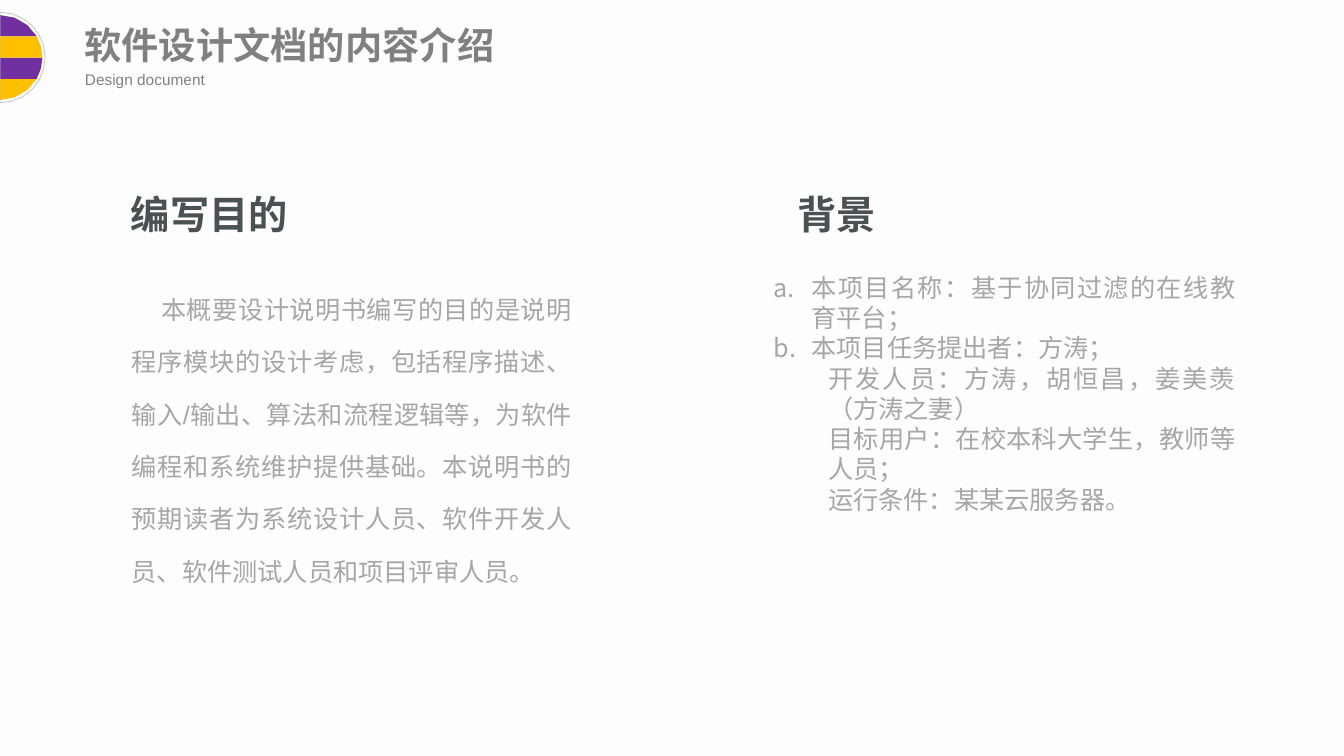
import math
from pptx import Presentation, util as u
from pptx.dml import color
from pptx.enum import text
from pptx.oxml import xmlchemy as x

GREY, DARK, PALE = "808080", "4B5050", "A6A6A6"
LEFT, JUST = text.PP_ALIGN.LEFT, text.PP_ALIGN.JUSTIFY
TOP, MID = text.MSO_ANCHOR.TOP, text.MSO_ANCHOR.MIDDLE


def rgb(code):
    return color.RGBColor.from_string(code)


def write(box, area, lines, size, code, bold=False, align=JUST, anchor=TOP,
          inset=(0.25, 0.13), space=1, gap=0):
    box.left, box.top, box.width, box.height = [u.Cm(n) for n in area]
    frame = box.text_frame
    frame.word_wrap = True
    frame.auto_size = text.MSO_AUTO_SIZE.NONE
    frame.vertical_anchor = anchor
    frame.margin_left = frame.margin_right = u.Cm(inset[0])
    frame.margin_top = frame.margin_bottom = u.Cm(inset[1])
    for i, (line, margin, indent, mark) in enumerate(lines):
        para = frame.paragraphs[0] if i == 0 else frame.add_paragraph()
        para.alignment = align
        para.line_spacing = space
        para.space_before = para.space_after = u.Pt(gap)
        props = para._p.get_or_add_pPr()
        props.set("marL", str(u.Cm(margin)))
        props.set("indent", str(u.Cm(indent)))
        bullet = x.OxmlElement("a:buAutoNum" if mark else "a:buNone")
        if mark:
            bullet.set("type", mark)
        props.append(bullet)
        run = para.add_run()
        run.text = line
        run.font.size = u.Pt(size)
        run.font.name = "Arial"
        run.font.bold = bold
        run.font.color.rgb = rgb(code)


deck = Presentation()
deck.slide_width, deck.slide_height = u.Cm(33.87), u.Cm(19.05)
slide = deck.slides.add_slide(deck.slide_layouts[4])
slide.background.fill.solid()
slide.background.fill.fore_color.rgb = rgb("FDFDFD")
title, head1, body1, head2, body2 = slide.placeholders

write(title, (2.13, 0.56, 11.58, 1.14), [("软件设计文档的内容介绍", 0, 0, None)],
      26.6, GREY, True, LEFT, MID, (0, 0))
label = slide.shapes.add_textbox(0, 0, 0, 0)
write(label, (2.14, 1.75, 6.1, 0.48), [("Design document", 0, 0, None)],
      11, GREY, False, LEFT, MID, (0, 0))

mid, rad = 1.45, 1.07
bands = [(rad, 30, 90, 20, "FFC000"), (rad, 0, 30, 15, "7030A0"),
         (rad, -90, -30, 20, "7030A0"), (rad, -30, 0, 15, "FFC000"),
         (1.14, -90, 90, 15, None)]
for size, low, high, step, code in bands:
    arc = []
    for deg in range(low, high + 1, step):
        turn = math.radians(deg)
        arc.append((u.Cm(size * math.cos(turn)), u.Cm(mid + size * math.sin(turn))))
    ends = [(0, arc[-1][1])] if high < 90 else []
    first = (0, arc[0][1]) if low > -90 else arc.pop(0)
    pen = slide.shapes.build_freeform(*first)
    pen.add_line_segments(arc + ends)
    band = pen.convert_to_shape()
    band.shadow.inherit = False
    if code:
        band.fill.solid()
        band.fill.fore_color.rgb = rgb(code)
        band.line.fill.background()
    else:
        band.fill.background()
        band.line.color.rgb = rgb("BFBFBF")
        band.line.width = u.Pt(0.5)

heads = [(head1, (2.31, 3.8, 16.94, 2.06), "编写目的"),
         (head2, (19.1, 3.8, 10.36, 2.34), "背景")]
for box, area, line in heads:
    write(box, area, [(line, 0, 0.74, None)], 28, DARK, True, space=1.73, gap=13)

goal = ("本概要设计说明书编写的目的是说明程序模块的设计考虑，包括程序描述、"
        "输入/输出、算法和流程逻辑等，为软件编程和系统维护提供基础。"
        "本说明书的预期读者为系统设计人员、软件开发人员、软件测试人员和项目评审人员。")
write(body1, (3.07, 6.73, 11.6, 8.25), [(goal, 0, 0.74, None)],
      18, PALE, space=1.73, gap=13)

abc = "alphaLcPeriod"
facts = [("本项目名称：基于协同过滤的在线教育平台；", 0.95, -0.95, abc),
         ("本项目任务提出者：方涛；", 0.95, -0.95, abc),
         ("开发人员：方涛，胡恒昌，姜美羡（方涛之妻）", 1.37, 0, None),
         ("目标用户：在校本科大学生，教师等人员；", 1.37, 0, None),
         ("运行条件：某某云服务器。", 1.37, 0, None)]
write(body2, (19.25, 6.73, 12.14, 6.4), facts, 18, PALE)

deck.save("out.pptx")
